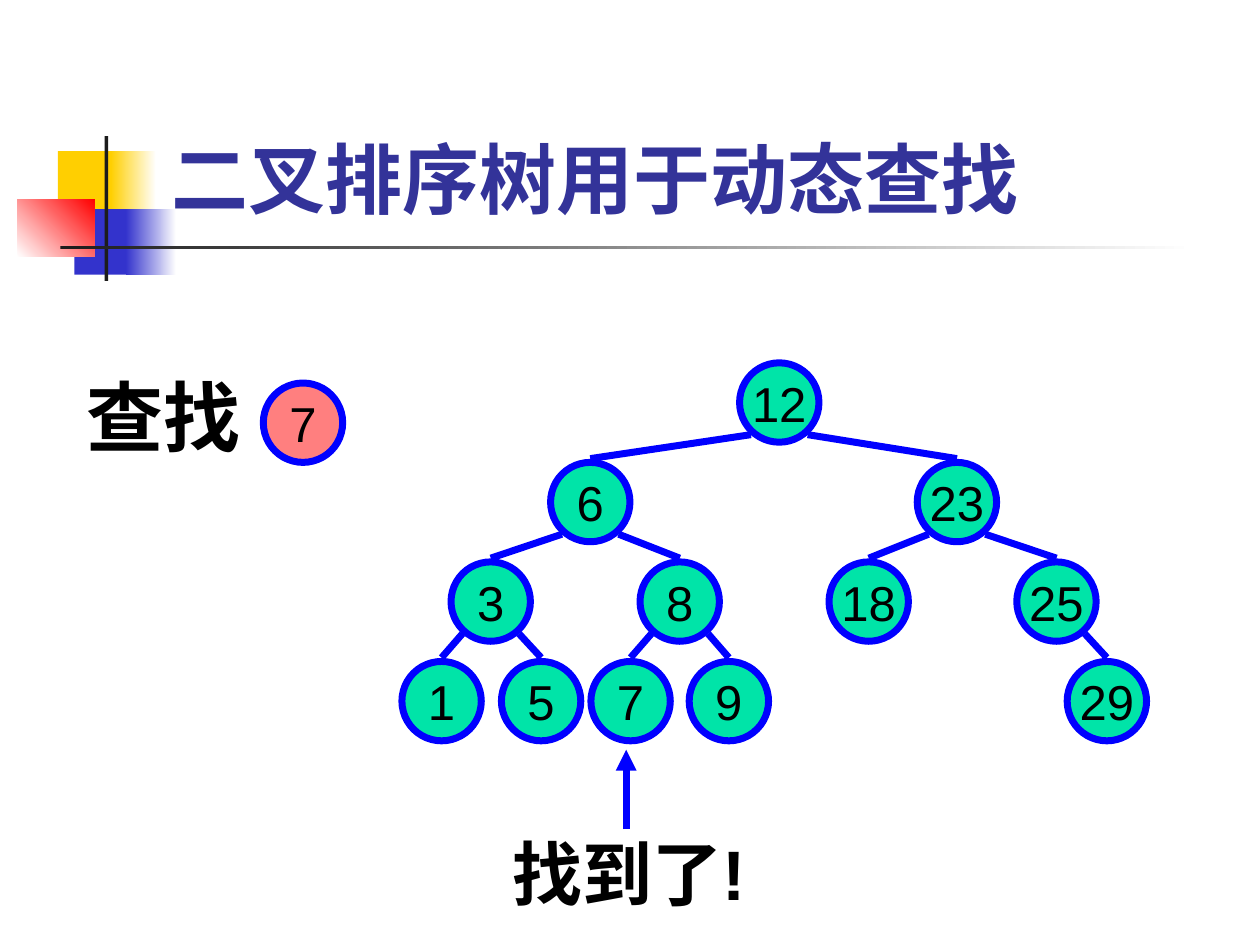
import pptx
import pptx.dml.color
import pptx.enum.shapes
import pptx.enum.text
import pptx.util
from lxml import etree
from pptx.oxml.ns import qn
from pptx.util import Inches

COLORS = {
    "yellow": "FFCF01", "indigo": "3333CC", "red": "FF0000", "white": "FFFFFF",
    "charcoal": "1C1C1C", "title": "333399", "node": "00E4A8", "outline": "0000FF",
    "text": "000000",
}

TITLE = "二叉排序树用于动态查找"
# left, top, width, height, colours (two make a gradient), gradient angle
DECORATIONS = [
    (0.46, 1.2, 0.48, 0.52, ["yellow"], 0),
    (0.88, 1.2, 0.36, 0.52, ["yellow", "white"], 0),
    (0.59, 1.66, 0.46, 0.52, ["indigo"], 0),
    (1, 1.66, 0.4, 0.52, ["indigo", "white"], 0),
    (0.14, 1.58, 0.61, 0.46, ["white", "red"], 45),
    (0.83, 1.08, 0.03, 1.15, ["charcoal"], 0),
    (0.48, 1.95, 9, 0.03, ["charcoal", "white"], 0),
]
# One list per tree level: value, left, parent value
TREE = [
    [(12, 5.87, None)],
    [(6, 4.37, 12), (23, 7.28, 12)],
    [(3, 3.58, 6), (8, 5.08, 6), (18, 6.58, 23), (25, 8.07, 23)],
    [(1, 3.19, 3), (5, 3.98, 3), (7, 4.69, 8), (9, 5.47, 8), (29, 8.47, 25)],
]
TARGET = (7, 2.09, 3.04)
# text, left, top, width, height, size, wrap
CAPTIONS = [
    ("查找", 0.35, 2.88, 1.89, 0.84, 44, True),
    ("找到了!", 3.9, 6.54, 2.18, 0.77, 40, False),
]
FOUND_ARROW = ((4.97, 6.58), (4.97, 5.95))

TREE_TOP, LEVEL_STEP, DIAMETER = 2.88, 0.79, 0.63
EDGE_INSET, EDGE_DROP, EDGE_GAP = 0.09, 0.57, 0.03
LINE_WIDTH = 4


def rgb(name):
    return pptx.dml.color.RGBColor.from_string(COLORS[name])


def write(shape, text, size, font="Arial", color="text", bold=False, align="CENTER",
          anchor="TOP", wrap=False):
    frame = shape.text_frame
    frame.text = text
    frame.word_wrap = wrap
    frame.vertical_anchor = pptx.enum.text.MSO_ANCHOR[anchor]
    paragraph = frame.paragraphs[0]
    paragraph.alignment = pptx.enum.text.PP_ALIGN[align]
    formats = {"name": font, "size": pptx.util.Pt(size), "bold": bold}
    for attribute, value in formats.items():
        setattr(paragraph.font, attribute, value)
    paragraph.font.color.rgb = rgb(color)


def add_shape(slide, kind, left, top, width, height, color):
    shape = slide.shapes.add_shape(
        pptx.enum.shapes.MSO_SHAPE[kind], *map(Inches, (left, top, width, height)))
    shape.shadow.inherit = False
    shape.fill.solid()
    shape.fill.fore_color.rgb = rgb(color)
    return shape


def set_outline(line):
    line.color.rgb = rgb("outline")
    line.width = pptx.util.Pt(LINE_WIDTH)


def add_decoration(slide, left, top, width, height, colors, angle):
    shape = add_shape(slide, "RECTANGLE", left, top, width, height, colors[0])
    shape.line.fill.background()
    if len(colors) == 2:
        shape.fill.gradient()
        shape.fill.gradient_angle = angle
        for stop, color in zip(shape.fill.gradient_stops, colors):
            stop.color.rgb = rgb(color)
    return shape


def add_node(slide, value, left, top, color="node"):
    shape = add_shape(slide, "OVAL", left, top, DIAMETER, DIAMETER, color)
    set_outline(shape.line)
    write(shape, str(value), 28, anchor="MIDDLE")
    return shape


def add_line(slide, start, end):
    connector = slide.shapes.add_connector(
        pptx.enum.shapes.MSO_CONNECTOR.STRAIGHT, *map(Inches, (*start, *end)))
    set_outline(connector.line)
    etree.SubElement(connector.element.spPr, qn("a:effectLst"))
    return connector


def add_edge(slide, parent, child):
    """Join the lower left or lower right of a parent to the top of its child."""
    (parent_left, parent_top), (child_left, child_top) = parent, child
    inset = EDGE_INSET if child_left < parent_left else DIAMETER - EDGE_INSET
    add_line(slide, (parent_left + inset, parent_top + EDGE_DROP),
             (child_left + DIAMETER / 2, child_top - EDGE_GAP))


def add_tree(slide):
    positions, edges = {}, []
    for level, nodes in enumerate(TREE):
        for value, left, parent in nodes:
            positions[value] = (left, TREE_TOP + level * LEVEL_STEP)
            add_node(slide, value, *positions[value])
            if parent is not None:
                edges.append((parent, value))
    for parent, child in edges:
        add_edge(slide, positions[parent], positions[child])


def main():
    presentation = pptx.Presentation()
    presentation.slide_width, presentation.slide_height = Inches(10), Inches(7.5)
    slide = presentation.slides.add_slide(presentation.slide_layouts[5])

    for decoration in DECORATIONS:
        last_decoration = add_decoration(slide, *decoration)

    title = slide.shapes.title
    last_decoration.element.addnext(title.element)
    box = {"left": 1.26, "top": 0.23, "width": 8.52, "height": 1.6}
    for attribute, value in box.items():
        setattr(title, attribute, Inches(value))
    write(title, TITLE, 44, "Roboto", "title", True, "LEFT", "BOTTOM", True)

    add_tree(slide)
    target = add_node(slide, *TARGET, color="red")
    red = target.element.spPr.find(qn("a:solidFill"))[0]
    etree.SubElement(red, qn("a:alpha"), val="50000")

    for text, left, top, width, height, size, wrap in CAPTIONS:
        caption = slide.shapes.add_textbox(*map(Inches, (left, top, width, height)))
        write(caption, text, size, bold=True, wrap=wrap)

    arrow = add_line(slide, *FOUND_ARROW)
    etree.SubElement(arrow.line._get_or_add_ln(), qn("a:tailEnd"), type="triangle")

    presentation.save("out.pptx")


if __name__ == "__main__":
    main()
